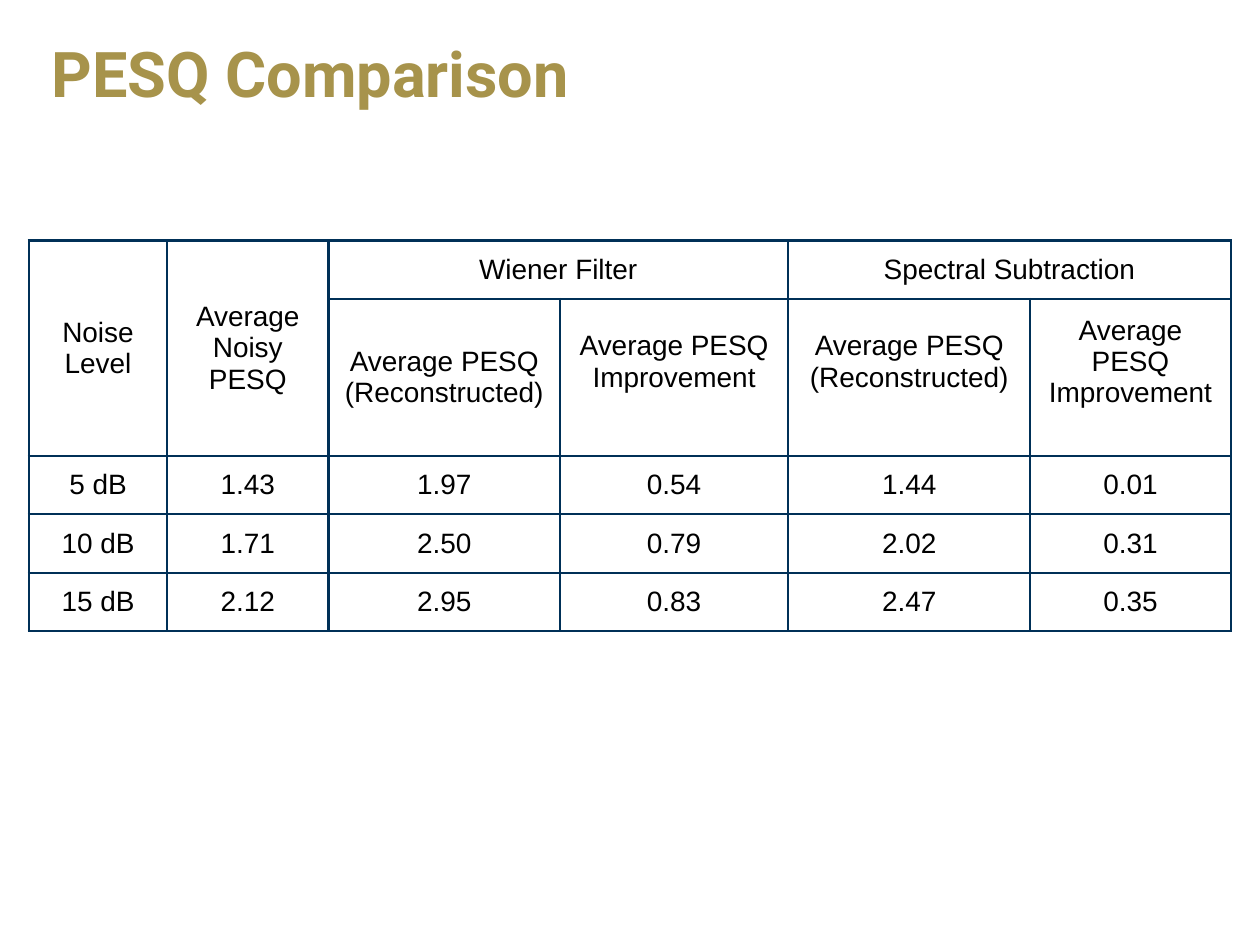
from dataclasses import dataclass

from lxml.etree import SubElement
from pptx import Presentation
from pptx.dml.color import RGBColor as RGB
from pptx.enum.text import MSO_ANCHOR as Anchor, PP_ALIGN as Align
from pptx.oxml.ns import qn
from pptx.util import Cm, Pt


@dataclass(frozen=True)
class Theme:
    gold: RGB = RGB(0xA7, 0x93, 0x4B)
    navy: RGB = RGB(0x00, 0x30, 0x57)
    black: RGB = RGB(0, 0, 0)
    white: RGB = RGB(0xFF, 0xFF, 0xFF)
    title_font: str = "Roboto"
    body_font: str = "Arial"
    title_size: Pt = Pt(36)
    body_size: Pt = Pt(16)
    border: Pt = Pt(1.5)
    cell_inset: Cm = Cm(0.25)


class SlideBuilder:
    def __init__(self, slide, theme):
        self.slide = slide
        self.theme = theme

    def add_run(self, paragraph, text, font_name, size, color, bold=False):
        run = paragraph.add_run()
        run.text = text
        font = run.font
        font.name, font.size, font.bold = font_name, size, bold
        font.color.rgb = color

    def title(self, text, left, top, width, height):
        frame = self.slide.shapes.add_textbox(left, top, width, height).text_frame
        frame.word_wrap = True
        frame.vertical_anchor = Anchor.TOP
        self.add_run(frame.paragraphs[0], text, self.theme.title_font,
                     self.theme.title_size, self.theme.gold, bold=True)

    def table(self, left, top, columns, rows, spans, texts):
        """Spans are pairs of corner positions; texts has one list per row."""
        grid = self.slide.shapes.add_table(
            len(rows), len(columns), left, top, sum(columns), sum(rows)).table
        grid.first_row = grid.horz_banding = False
        for column, width in zip(grid.columns, columns):
            column.width = width
        for row, height in zip(grid.rows, rows):
            row.height = height
        for first, last in spans:
            grid.cell(*first).merge(grid.cell(*last))
        for r, row_texts in enumerate(texts):
            for c, text in enumerate(row_texts):
                self.cell(grid.cell(r, c), text)
        return grid

    def cell(self, cell, text):
        self.cell_borders(cell)
        cell.fill.solid()
        cell.fill.fore_color.rgb = self.theme.white
        cell.vertical_anchor = Anchor.MIDDLE
        cell.margin_left = cell.margin_right = self.theme.cell_inset
        cell.margin_top = cell.margin_bottom = self.theme.cell_inset
        if text:
            paragraph = cell.text_frame.paragraphs[0]
            paragraph.alignment = Align.CENTER
            self.add_run(paragraph, text, self.theme.body_font,
                         self.theme.body_size, self.theme.black)

    def cell_borders(self, cell):
        properties = cell._tc.get_or_add_tcPr()
        for side in ("a:lnL", "a:lnR", "a:lnT", "a:lnB"):
            line = SubElement(properties, qn(side), w=str(int(self.theme.border)))
            fill = SubElement(line, qn("a:solidFill"))
            SubElement(fill, qn("a:srgbClr"), val=str(self.theme.navy))


def main():
    deck = Presentation()
    deck.slide_width, deck.slide_height = Cm(25.4), Cm(19.05)
    builder = SlideBuilder(deck.slides.add_slide(deck.slide_layouts[6]), Theme())

    builder.title("PESQ Comparison", Cm(0.79), Cm(0.58), Cm(23.83), Cm(2.79))

    method_headings = ["Average PESQ (Reconstructed)", "Average PESQ Improvement"]
    line_height = Cm(1.13)
    scores = builder.table(
        Cm(0.58), Cm(4.85),
        columns=[Cm(w) for w in (2.79, 3.25, 4.67, 4.6, 4.88, 4.04)],
        rows=[line_height, Cm(3.02)] + [line_height] * 3,
        spans=[((0, 0), (1, 0)), ((0, 1), (1, 1)),
               ((0, 2), (0, 3)), ((0, 4), (0, 5))],
        texts=[
            ["Noise Level", "Average Noisy PESQ",
             "Wiener Filter", "", "Spectral Subtraction", ""],
            ["", ""] + method_headings * 2,
            ["5 dB", "1.43", "1.97", "0.54", "1.44", "0.01"],
            ["10 dB", "1.71", "2.50", "0.79", "2.02", "0.31"],
            ["15 dB", "2.12", "2.95", "0.83", "2.47", "0.35"],
        ])
    # These headings sit half a line above the middle of their row.
    for column in (3, 4, 5):
        scores.cell(1, column).margin_bottom = Cm(0.88)

    deck.save("out.pptx")


if __name__ == "__main__":
    main()
